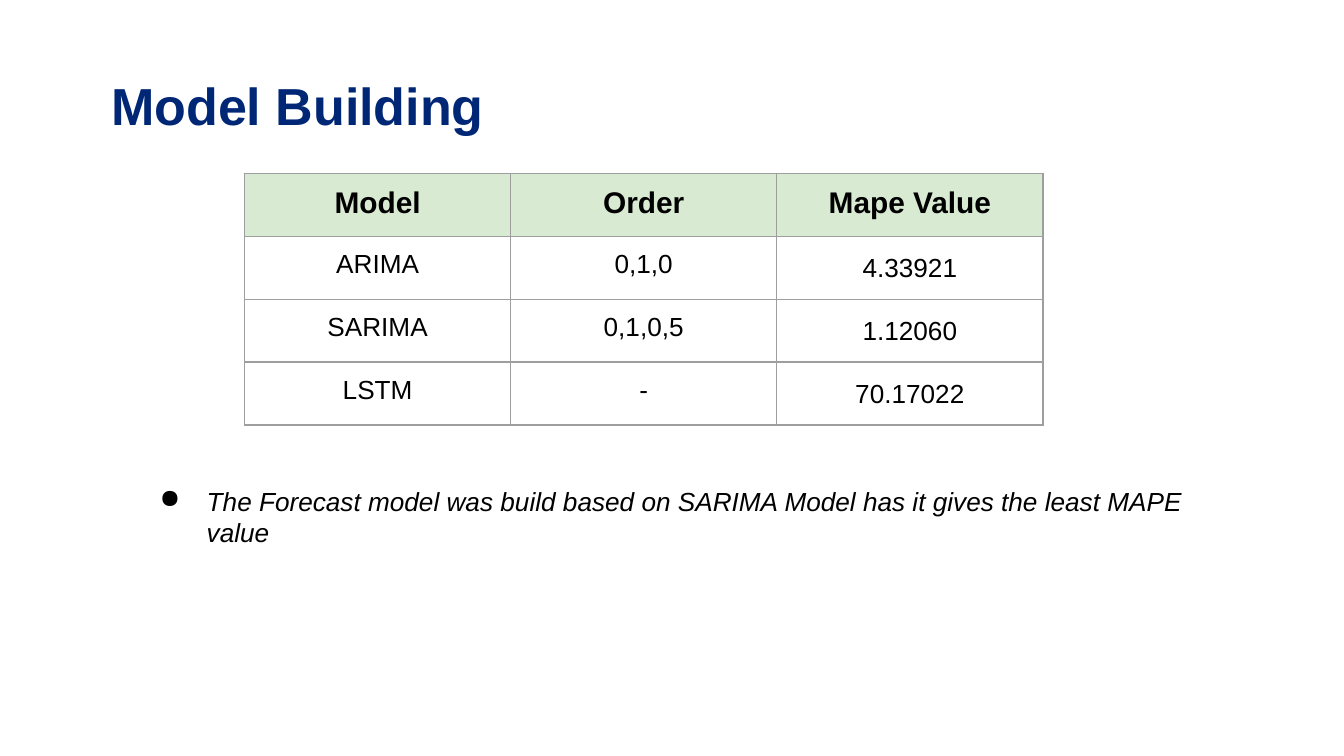
from lxml import etree
from pptx import Presentation
from pptx.dml.color import RGBColor
from pptx.enum.text import MSO_ANCHOR, PP_ALIGN
from pptx.oxml.ns import qn
from pptx.util import Inches, Pt

TOP = MSO_ANCHOR.TOP
LEFT, CENTER = PP_ALIGN.LEFT, PP_ALIGN.CENTER
FONT = "Arial"
COLORS = {"title": "002776", "text": "000000", "header": "D9EAD3", "border": "9E9E9E"}
MARGIN = Inches(0.1)
BORDER_WIDTH = Pt(0.75)
SLIDE_WIDTH = 10

ROWS = [
    ("Model", "Order", "Mape Value"),
    ("ARIMA", "0,1,0", "4.33921"),
    ("SARIMA", "0,1,0,5", "1.12060"),
    ("LSTM", "-", "70.17022"),
]


class SlideBuilder:
    """Holds the style and the current slide."""

    def __init__(self, slide):
        self.slide = slide

    def style(self, paragraph, size, color="text", bold=False, italic=False, align=LEFT):
        paragraph.alignment = align
        font = paragraph.font
        font.name, font.size = FONT, Pt(size)
        font.bold, font.italic = bold, italic
        font.color.rgb = RGBColor.from_string(COLORS[color])

    def text(self, left, top, width, height, text, size, **style):
        """Add a one-paragraph text box and return its paragraph."""
        box = self.slide.shapes.add_textbox(
            Inches(left), Inches(top), Inches(width), Inches(height))
        frame = box.text_frame
        frame.word_wrap = True
        frame.vertical_anchor = TOP
        frame.margin_left = frame.margin_right = MARGIN
        frame.margin_top = frame.margin_bottom = MARGIN
        paragraph = frame.paragraphs[0]
        paragraph.text = text
        self.style(paragraph, size, **style)
        return paragraph

    def bullet(self, left, top, width, height, text, size, **style):
        paragraph = self.text(left, top, width, height, text, size, **style)
        properties = paragraph._p.get_or_add_pPr()
        properties.set("marL", str(Inches(0.5)))
        properties.set("indent", str(-Inches(0.35)))
        color = etree.Element(qn("a:buClr"))
        etree.SubElement(color, qn("a:srgbClr"), val=COLORS["text"])
        points = etree.Element(qn("a:buSzPts"), val=str(size * 100))
        mark = etree.Element(qn("a:buChar"), char="●")
        for position, element in enumerate((color, points, mark)):
            properties.insert(position, element)

    def table(self, left, top, frame_size, column_width, row_height, rows):
        """Add a table whose columns and rows set its extent, not its frame."""
        frame = self.slide.shapes.add_table(
            len(rows), len(rows[0]), Inches(left), Inches(top),
            Inches(frame_size), Inches(frame_size))
        table = frame.table
        table.first_row = table.horz_banding = False
        for column in table.columns:
            column.width = Inches(column_width)
        for row in table.rows:
            row.height = Inches(row_height)
        frame.width = frame.height = Inches(frame_size)
        for row_index, values in enumerate(rows):
            for column_index, value in enumerate(values):
                cell = table.cell(row_index, column_index)
                self.cell(cell, value, row_index == 0, column_index == len(values) - 1)

    def cell(self, cell, value, is_header, is_last_column):
        cell.margin_left = cell.margin_right = MARGIN
        cell.margin_top = cell.margin_bottom = MARGIN
        cell.vertical_anchor = TOP
        paragraph = cell.text_frame.paragraphs[0]
        paragraph.text = value
        self.style(paragraph, 16 if is_header else 14, bold=is_header, align=CENTER)
        if is_last_column and not is_header:
            paragraph.line_spacing = 1.15
        self.borders(cell)
        if is_header:
            cell.fill.solid()
            cell.fill.fore_color.rgb = RGBColor.from_string(COLORS["header"])
        else:
            cell.fill.background()

    def borders(self, cell):
        properties = cell._tc.get_or_add_tcPr()
        for side in ("a:lnL", "a:lnR", "a:lnT", "a:lnB"):
            line = etree.SubElement(properties, qn(side), w=str(BORDER_WIDTH))
            fill = etree.SubElement(line, qn("a:solidFill"))
            etree.SubElement(fill, qn("a:srgbClr"), val=COLORS["border"])


def main():
    presentation = Presentation()
    presentation.slide_width = Inches(SLIDE_WIDTH)
    presentation.slide_height = Inches(SLIDE_WIDTH * 9 / 16)
    builder = SlideBuilder(presentation.slides.add_slide(presentation.slide_layouts[6]))

    title = builder.text(0.73, 0.38, 4.03, 0.63, "Model Building", 27.9,
                         color="title", bold=True)
    title.line_spacing = 1.15
    title.space_after = Pt(10)
    builder.table(1.82, 1.29, 3.28, 1.98, 0.42, ROWS)
    builder.bullet(0.94, 3.51, 8.07, 0.67,
                   "The Forecast model was build based on SARIMA Model has it gives "
                   "the least MAPE value", 14, italic=True)
    presentation.save("out.pptx")


if __name__ == "__main__":
    main()
